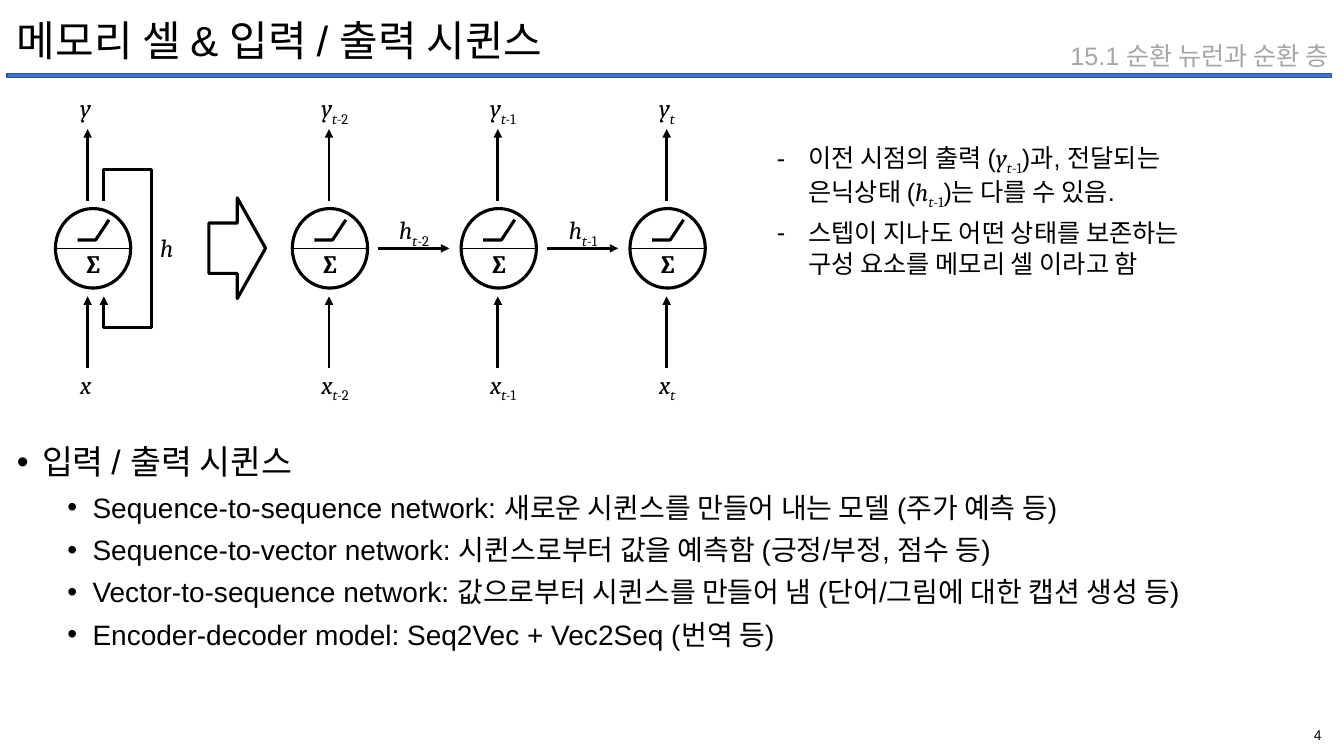
from dataclasses import dataclass

from lxml.etree import SubElement
from pptx import Presentation
from pptx.dml.color import RGBColor
from pptx.enum.shapes import MSO_CONNECTOR, MSO_SHAPE
from pptx.enum.text import MSO_ANCHOR as Anchor
from pptx.enum.text import MSO_AUTO_SIZE as AutoSize
from pptx.enum.text import PP_ALIGN as Align
from pptx.oxml.ns import qn
from pptx.util import Pt

BLACK = RGBColor(0x00, 0x00, 0x00)
GREY = RGBColor(0xA6, 0xA6, 0xA6)
BLUE = RGBColor(0x44, 0x72, 0xC4)
DARK_BLUE = RGBColor(0x32, 0x54, 0x91)
TEXT_FONT, MATH_FONT = "Arial", "Cambria"

# Shared heights of the network diagram
CELL_TOP, CELL_WIDTH, CELL_HEIGHT = 149, 53.8, 56.8
CELL_MIDDLE = CELL_TOP + CELL_HEIGHT / 2
INPUT_START, INPUT_END = 262.8, 211.7
OUTPUT_START, OUTPUT_END = 143.3, 92.2
INPUT_LABEL_TOP, OUTPUT_LABEL_TOP, LABEL_HEIGHT = 260, 62.6, 29


@dataclass(frozen=True)
class Piece:
    text: str
    size: float = 18
    font: str = TEXT_FONT
    color: RGBColor = BLACK
    bold: bool = False
    italic: bool = False
    sub: bool = False


@dataclass(frozen=True)
class Cell:
    left: float
    axis: float  # distance from the left edge to the input and output arrows
    italic_step: str = ""
    step: str = ""
    label_width: float = 24


def variable(letter: str, italic_step: str = "", step: str = "") -> list[Piece]:
    pieces = [Piece(letter, font=MATH_FONT, italic=True),
              Piece(italic_step, font=MATH_FONT, italic=True, sub=True),
              Piece(step, font=MATH_FONT, sub=True)]
    return [piece for piece in pieces if piece.text]


def write(paragraph, pieces: list[Piece]) -> None:
    for piece in pieces:
        for number, line in enumerate(piece.text.split("\n")):
            if number:
                paragraph.add_line_break()
            run = paragraph.add_run()
            run.text = line
            font = run.font
            font.name, font.size = piece.font, Pt(piece.size)
            font.bold, font.italic = piece.bold, piece.italic
            font.color.rgb = piece.color
            if piece.sub:
                run._r.get_or_add_rPr().set("baseline", "-25000")


def add_bullet(paragraph, mark: str, margin: float, hang: float) -> None:
    properties = paragraph._p.get_or_add_pPr()
    properties.set("marL", str(Pt(margin)))
    properties.set("indent", str(-Pt(hang)))
    SubElement(properties, qn("a:buFont")).set("typeface", TEXT_FONT)
    SubElement(properties, qn("a:buChar")).set("char", mark)


def add_text(shapes, left: float, top: float, width: float, height: float,
             pieces: list[Piece], align: Align = Align.LEFT,
             anchor: Anchor = Anchor.TOP, wrap: bool = False):
    frame = shapes.add_textbox(Pt(left), Pt(top), Pt(width), Pt(height)).text_frame
    frame.word_wrap, frame.vertical_anchor = wrap, anchor
    frame.auto_size = AutoSize.NONE if wrap else AutoSize.SHAPE_TO_FIT_TEXT
    frame.paragraphs[0].alignment = align
    write(frame.paragraphs[0], pieces)
    return frame


def outline(shape, weight: float) -> None:
    shape.shadow.inherit = False
    shape.fill.background()
    shape.line.color.rgb, shape.line.width = BLACK, Pt(weight)


def add_arrowhead(shape) -> None:
    SubElement(shape.line._get_or_add_ln(), qn("a:tailEnd")).set("type", "triangle")


def add_line(shapes, x1: float, y1: float, x2: float, y2: float,
             weight: float = 2, arrow: bool = True) -> None:
    line = shapes.add_connector(MSO_CONNECTOR.STRAIGHT, Pt(x1), Pt(y1), Pt(x2), Pt(y2))
    line.line.color.rgb, line.line.width = BLACK, Pt(weight)
    if arrow:
        add_arrowhead(line)
    SubElement(line._element.spPr, qn("a:effectLst"))


def add_path(shapes, points: list[tuple[float, float]], weight: float):
    start, *rest = [(Pt(x), Pt(y)) for x, y in points]
    builder = shapes.build_freeform(*start)
    builder.add_line_segments(rest, close=False)
    path = builder.convert_to_shape()
    outline(path, weight)
    return path


def add_cell(shapes, cell: Cell) -> None:
    left, axis = cell.left, cell.left + cell.axis
    neuron = shapes.add_shape(MSO_SHAPE.OVAL, Pt(left), Pt(CELL_TOP),
                              Pt(CELL_WIDTH), Pt(CELL_HEIGHT))
    outline(neuron, 2.25)
    frame = neuron.text_frame
    frame.vertical_anchor = Anchor.TOP
    frame.margin_top, frame.margin_bottom = Pt(20), Pt(0)
    frame.paragraphs[0].alignment = Align.CENTER
    write(frame.paragraphs[0], [Piece("∑", font=MATH_FONT, bold=True)])
    add_line(shapes, left, CELL_MIDDLE, left + CELL_WIDTH, CELL_MIDDLE, 1, arrow=False)
    add_path(shapes, [(left + 15.8, 171.4), (left + 28.8, 171.4), (left + 38.3, 157)], 2.25)

    add_line(shapes, axis, INPUT_START, axis, INPUT_END)
    add_line(shapes, axis, OUTPUT_START, axis, OUTPUT_END)
    for letter, top in (("x", INPUT_LABEL_TOP), ("y", OUTPUT_LABEL_TOP)):
        add_text(shapes, axis - 12.5, top, cell.label_width, LABEL_HEIGHT,
                 variable(letter, cell.italic_step, cell.step))


def main() -> None:
    deck = Presentation()
    deck.slide_width, deck.slide_height = Pt(960), Pt(540)
    shapes = deck.slides.add_slide(deck.slide_layouts[6]).shapes

    # Header
    rule = shapes.add_shape(MSO_SHAPE.RECTANGLE, Pt(5), Pt(52.6), Pt(946), Pt(2.9))
    rule.shadow.inherit = False
    rule.fill.solid()
    rule.fill.fore_color.rgb = BLUE
    rule.line.color.rgb, rule.line.width = DARK_BLUE, Pt(1)
    title = add_text(shapes, 5, 2.2, 946, 56.2, [Piece("메모리 셀 & 입력 / 출력 시퀸스", 30)],
                     anchor=Anchor.MIDDLE, wrap=True)
    title.paragraphs[0].line_spacing = 0.9
    add_text(shapes, 740.9, 25.2, 215.3, 29, [Piece("15.1 순환 뉴런과 순환 층", color=GREY)],
             Align.RIGHT)

    # Recurrent cell and the same cell unrolled through time
    recurrent = Cell(39.6, 23)
    unrolled = [Cell(208.8 + 120.6 * i, 26.2, *step)
                for i, step in enumerate([("t-", "2", 38.5), ("t-", "1", 38.5), ("t", "", 27.7)])]
    for cell in [recurrent, *unrolled]:
        add_cell(shapes, cell)

    # Feedback loop
    loop = add_path(shapes, [(74.2, OUTPUT_START), (74.2, 121), (108.3, 121),
                             (108.3, 234), (74.2, 234), (74.2, INPUT_END)], 2)
    add_arrowhead(loop)
    add_text(shapes, 107.3, 162.7, 24.5, LABEL_HEIGHT, variable("h"))

    # Unrolling arrow and hidden states
    unroll = shapes.add_shape(MSO_SHAPE.RIGHT_ARROW, Pt(149.2), Pt(141.3), Pt(40.5), Pt(72))
    outline(unroll, 2.25)
    for cell, step in zip(unrolled, ("-2", "-1")):
        add_line(shapes, cell.left + 61.2, CELL_MIDDLE, cell.left + 112.2, CELL_MIDDLE)
        add_text(shapes, cell.left + 67.2, 149.8, 39.6, LABEL_HEIGHT,
                 variable("h", "t", step), Align.CENTER)

    # Remarks
    remarks = add_text(shapes, 547.9, 97.9, 367.2, 99.4, [
        Piece("이전 시점의 출력 ("), *variable("y", "t", "-1"),
        Piece(")과, 전달되는 \n은닉상태 ("), *variable("h", "t", "-1"),
        Piece(")는 다를 수 있음.")], wrap=True)
    write(remarks.add_paragraph(),
          [Piece("스텝이 지나도 어떤 상태를 보존하는 \n구성 요소를 메모리 셀 이라고 함")])
    for paragraph in remarks.paragraphs:
        paragraph.space_after = Pt(5)
        add_bullet(paragraph, "-", 22.5, 22.5)

    # Input and output sequences
    sequences = add_text(shapes, 5, 310.3, 946, 171.4, [Piece("입력 / 출력 시퀸스", 24)], wrap=True)
    for kind in ("Sequence-to-sequence network: 새로운 시퀸스를 만들어 내는 모델 (주가 예측 등)",
                 "Sequence-to-vector network: 시퀸스로부터 값을 예측함 (긍정/부정, 점수 등)",
                 "Vector-to-sequence network: 값으로부터 시퀸스를 만들어 냄 (단어/그림에 대한 캡션 생성 등)",
                 "Encoder-decoder model: Seq2Vec + Vec2Seq (번역 등)"):
        paragraph = sequences.add_paragraph()
        paragraph.level = 1
        write(paragraph, [Piece(kind, 20)])
    for paragraph in sequences.paragraphs:
        paragraph.line_spacing = 1.05
        paragraph.space_before = Pt(5 if paragraph.level else 10)
        add_bullet(paragraph, "•", 54 if paragraph.level else 18, 18)

    # Page number
    add_text(shapes, 735.1, 517, 216, 15.1, [Piece("4", 10)], Align.RIGHT, Anchor.MIDDLE, wrap=True)

    deck.save("out.pptx")


if __name__ == "__main__":
    main()
